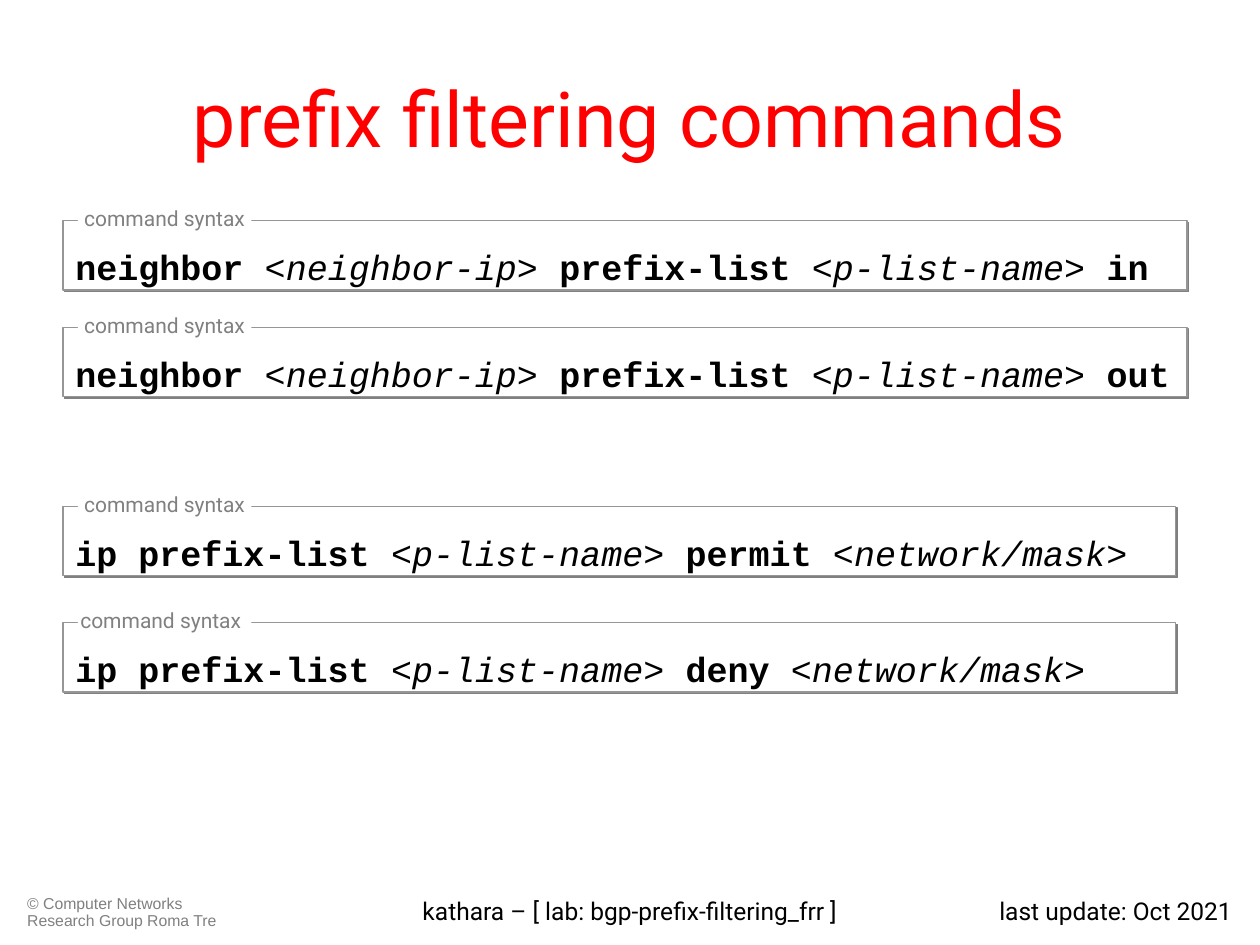
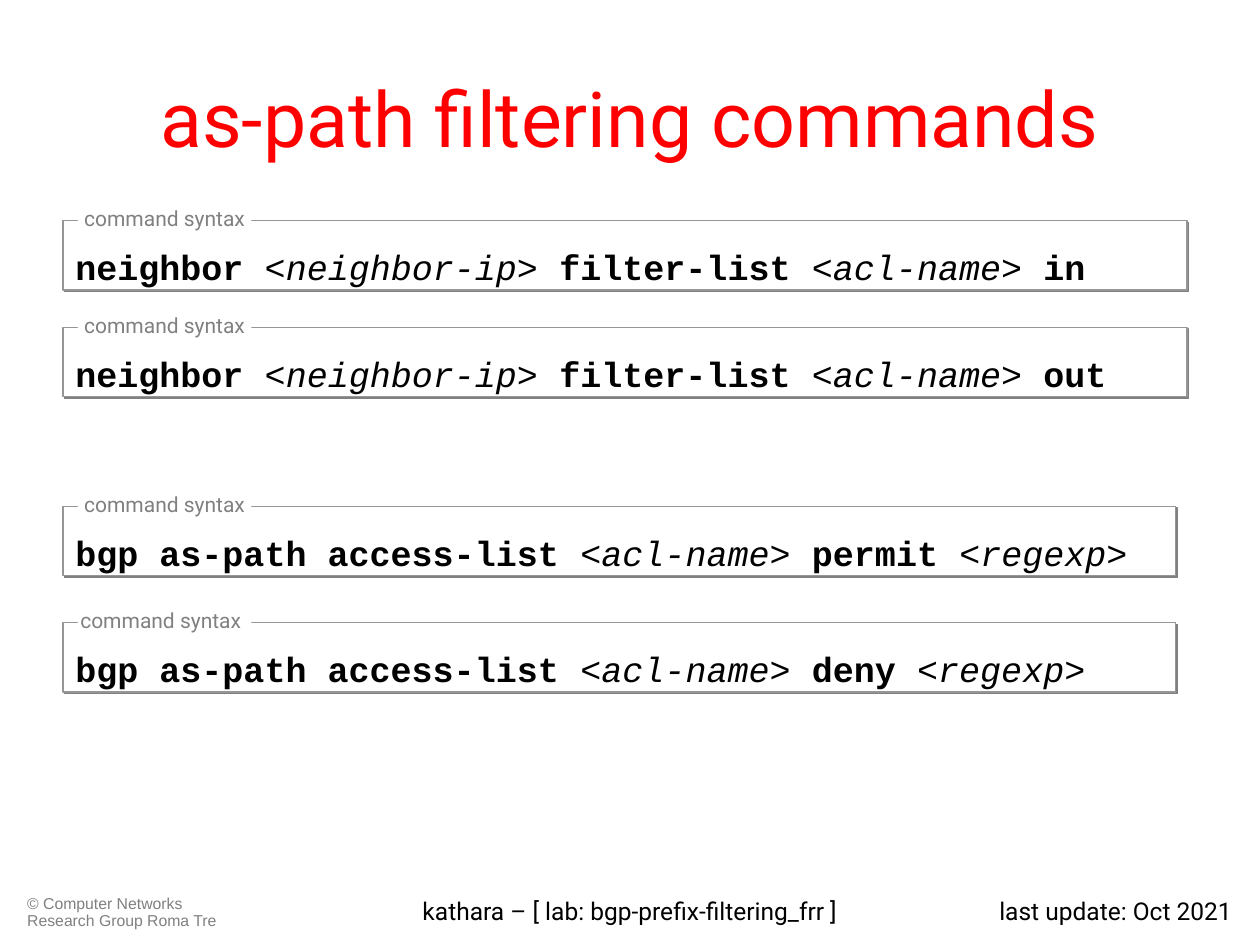
from dataclasses import dataclass

from lxml.etree import SubElement
from pptx import Presentation
from pptx.dml.color import RGBColor
from pptx.enum.shapes import MSO_SHAPE
from pptx.enum.text import MSO_ANCHOR, PP_ALIGN
from pptx.oxml.ns import qn
from pptx.util import Cm, Pt


# Colours, fonts and type sizes
@dataclass(frozen=True)
class Theme:
    red: RGBColor = RGBColor(0xFF, 0x00, 0x00)
    black: RGBColor = RGBColor(0x00, 0x00, 0x00)
    white: RGBColor = RGBColor(0xFF, 0xFF, 0xFF)
    grey: RGBColor = RGBColor(0x80, 0x80, 0x80)
    border: RGBColor = RGBColor(0x96, 0x96, 0x96)
    body_font: str = "Roboto"
    code_font: str = "Courier New"
    copyright_font: str = "Arial"
    title_size: Pt = Pt(44)
    code_size: Pt = Pt(20)
    footer_size: Pt = Pt(14)
    label_size: Pt = Pt(12)
    copyright_size: Pt = Pt(9)


# Geometry in centimetres
LEFT = 1.27
FOOTER_TOP, FOOTER_HEIGHT = 17.93, 0.91
COMMAND_HEIGHT = 1.4
NEIGHBOR_WIDTH, LIST_WIDTH = 22.66, 22.43
LABEL_SHIFT, LABEL_RISE = 0.3, 0.43
# Top, width and label alignment of each command
COMMAND_ROWS = (
    (4.45, NEIGHBOR_WIDTH, PP_ALIGN.CENTER),
    (6.6, NEIGHBOR_WIDTH, PP_ALIGN.CENTER),
    (10.21, LIST_WIDTH, PP_ALIGN.CENTER),
    (12.55, LIST_WIDTH, PP_ALIGN.LEFT),
)

# Keywords and parameters take turns, starting with a keyword
SLIDES = {
    "prefix filtering commands": (
        ("neighbor ", "<neighbor-ip>", " prefix-list ", "<p-list-name> ", "in"),
        ("neighbor ", "<neighbor-ip>", " prefix-list ", "<p-list-name> ", "out"),
        ("ip prefix-list ", "<p-list-name> ", "permit ", "<network/mask>"),
        ("ip prefix-list ", "<p-list-name> ", "deny ", "<network/mask>"),
    ),
    "as-path filtering commands": (
        ("neighbor ", "<neighbor-ip>", " filter-list ", "<acl-name> ", "in"),
        ("neighbor ", "<neighbor-ip>", " filter-list ", "<acl-name> ", "out"),
        ("bgp as-path access-list ", "<acl-name> ", "permit ", "<regexp>"),
        ("bgp as-path access-list ", "<acl-name> ", "deny ", "<regexp>"),
    ),
}


def apply(target, values):
    for name, value in values.items():
        setattr(target, name, value)


class Deck:
    def __init__(self, theme):
        self.theme = theme
        self.presentation = Presentation()
        apply(self.presentation, {"slide_width": Cm(25.4), "slide_height": Cm(19.05)})
        self.slide = None

    def new_slide(self):
        self.slide = self.presentation.slides.add_slide(self.presentation.slide_layouts[6])

    def fill_text(self, holder, runs, frame_format=None, paragraph_format=None):
        """Fill a shape with (text, colour, font values) runs in one paragraph."""
        frame = holder.text_frame
        apply(frame, {"word_wrap": True, "vertical_anchor": MSO_ANCHOR.TOP,
                      **(frame_format or {})})
        paragraph = frame.paragraphs[0]
        apply(paragraph, {"alignment": PP_ALIGN.LEFT, **(paragraph_format or {})})
        for text, color, font_format in runs:
            run = paragraph.add_run()
            run.text = text
            apply(run.font, font_format)
            run.font.color.rgb = color

    def text(self, text, box, color, font_format, frame_format=None, paragraph_format=None):
        holder = self.slide.shapes.add_textbox(*map(Cm, box))
        self.fill_text(holder, [(text, color, font_format)], frame_format, paragraph_format)

    def panel(self, box):
        panel = self.slide.shapes.add_shape(MSO_SHAPE.RECTANGLE, *map(Cm, box))
        panel.shadow.inherit = False
        panel.fill.solid()
        panel.fill.fore_color.rgb = self.theme.white
        panel.line.fill.background()
        return panel

    def hard_shadow(self, panel):
        effects = panel._element.spPr.find(qn("a:effectLst"))
        shadow = SubElement(effects, qn("a:outerShdw"), dist=str(Pt(1.4)),
                            dir="2700000", algn="ctr", rotWithShape="0")
        SubElement(shadow, qn("a:srgbClr"), val=str(self.theme.grey))

    def title(self, text):
        self.text(text, (LEFT, 0.76, 22.86, 3.18), self.theme.red,
                  {"name": self.theme.body_font, "size": self.theme.title_size},
                  {"vertical_anchor": MSO_ANCHOR.MIDDLE}, {"alignment": PP_ALIGN.CENTER})

    def footer(self):
        theme = self.theme
        self.text("© Computer Networks Research Group Roma Tre",
                  (0.3, FOOTER_TOP, 4.39, FOOTER_HEIGHT), theme.grey,
                  {"name": theme.copyright_font, "size": theme.copyright_size},
                  paragraph_format={"line_spacing": 0.9})
        for text, left, width, alignment in (
            ("last update: Oct 2021", 19.3, 5.79, PP_ALIGN.RIGHT),
            ("kathara – [ lab: bgp-prefix-filtering_frr ]", 6.5, 12.4, PP_ALIGN.CENTER),
        ):
            self.text(text, (left, FOOTER_TOP, width, FOOTER_HEIGHT), theme.black,
                      {"name": theme.body_font, "size": theme.footer_size},
                      paragraph_format={"alignment": alignment})

    def command(self, words, top, width, label_alignment):
        theme = self.theme
        # Framed command line
        frame = self.panel((LEFT, top, width, COMMAND_HEIGHT))
        frame.line.color.rgb = theme.border
        frame.line.width = Pt(0.75)
        self.hard_shadow(frame)
        runs = [(word, theme.black,
                 {"name": theme.code_font, "size": theme.code_size,
                  "bold": index % 2 == 0, "italic": index % 2 == 1})
                for index, word in enumerate(words)]
        self.fill_text(frame, runs, {"margin_left": Cm(0.25), "margin_right": Cm(0.25),
                                     "margin_top": Cm(0.5), "margin_bottom": Cm(0)})
        # Label that interrupts the top border
        label = self.panel((LEFT + LABEL_SHIFT, top - LABEL_RISE, 3.5, 0.76))
        self.fill_text(label, [("command syntax", theme.grey,
                                {"name": theme.body_font, "size": theme.label_size})],
                       {"margin_left": Cm(0.05), "margin_right": Cm(0.05),
                        "vertical_anchor": MSO_ANCHOR.MIDDLE},
                       {"alignment": label_alignment})


def main():
    deck = Deck(Theme())
    for title, commands in SLIDES.items():
        deck.new_slide()
        deck.footer()
        deck.title(title)
        for words, row in zip(commands, COMMAND_ROWS):
            deck.command(words, *row)
    deck.presentation.save("out.pptx")


if __name__ == "__main__":
    main()
